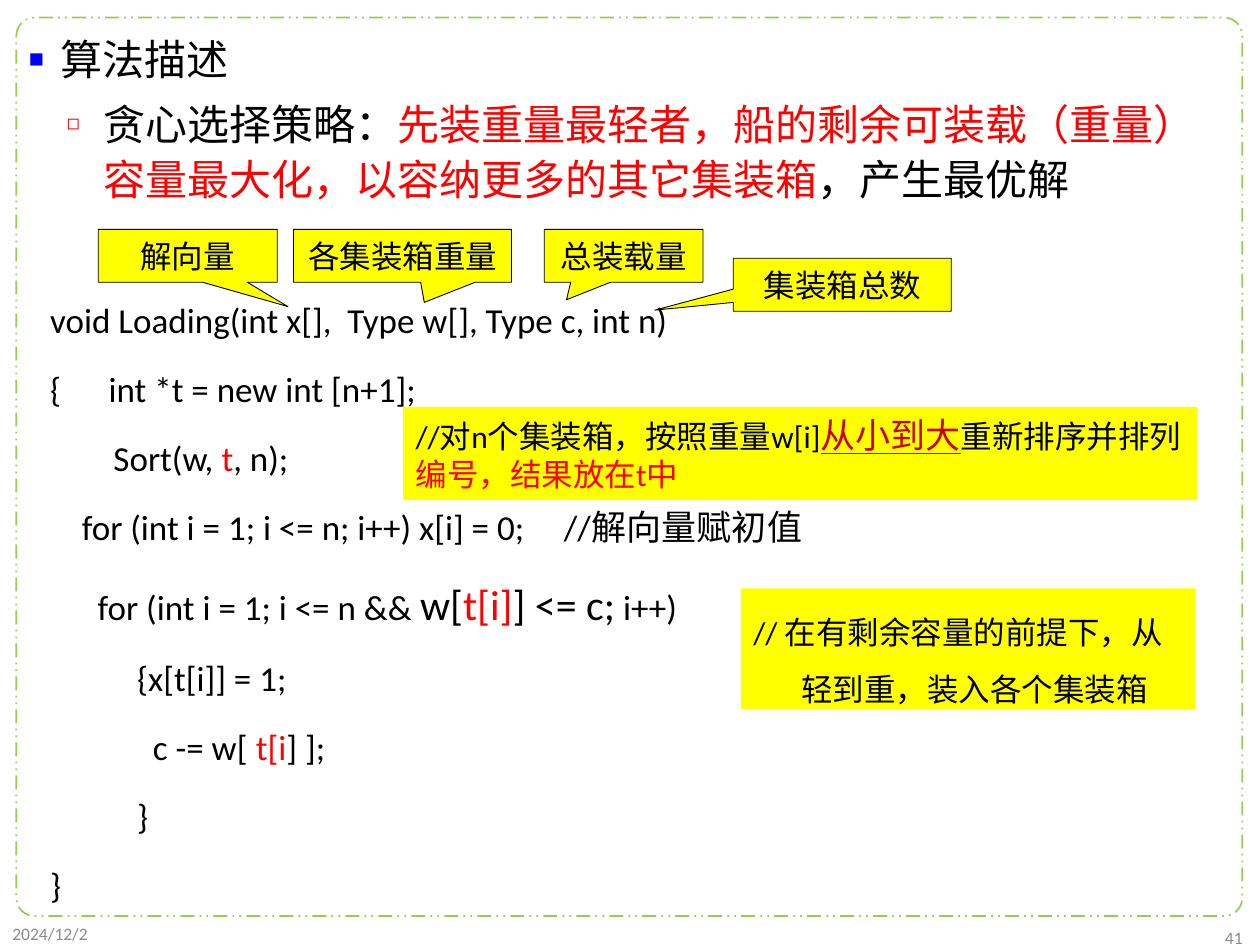
from dataclasses import dataclass
from typing import NamedTuple

from lxml.etree import SubElement
from pptx import Presentation
from pptx.dml.color import RGBColor
from pptx.enum.dml import MSO_LINE
from pptx.enum.shapes import MSO_SHAPE as SHAPE
from pptx.enum.text import MSO_ANCHOR as ANCHOR, MSO_AUTO_SIZE as AUTO, PP_ALIGN as ALIGN
from pptx.oxml.ns import qn
from pptx.util import Inches, Pt

COLORS = {"black": "000000", "red": "FF0000", "dark_red": "CC0000", "blue": "0000FF",
          "yellow": "FFFF00", "green": "92D050", "gray": "8C8C8C"}


class Run(NamedTuple):
    text: str
    color: str = "black"
    size: int = 20
    underline: bool = False


@dataclass
class Callout:
    text: str
    box: tuple
    tip: tuple


@dataclass
class Note:
    box: tuple
    runs: list
    spacing: float = 1.0
    hanging: float = 0


@dataclass
class Point:
    runs: list
    bullet: str
    bullet_color: str
    bullet_pct: int
    left: float
    hanging: float
    before: int


def rgb(name: str) -> RGBColor:
    return RGBColor.from_string(COLORS[name])


def add_runs(p, runs: list, font: str = "Calibri") -> None:
    for item in runs:
        r = p.add_run()
        r.text = item.text
        r.font.color.rgb = rgb(item.color)
        values = {"name": font, "size": Pt(item.size), "underline": item.underline}
        for name, value in values.items():
            setattr(r.font, name, value)


def indent(p, left: float, hanging: float) -> None:
    pPr = p._p.get_or_add_pPr()
    pPr.set("marL", str(Inches(left)))
    pPr.set("indent", str(-Inches(hanging)))


def add_bullet(p, point: Point) -> None:
    pPr = p._p.get_or_add_pPr()
    color = SubElement(pPr, qn("a:buClr"))
    SubElement(color, qn("a:srgbClr")).set("val", COLORS[point.bullet_color])
    SubElement(pPr, qn("a:buSzPct")).set("val", str(point.bullet_pct * 1000))
    SubElement(pPr, qn("a:buChar")).set("char", point.bullet)


def add_box(s, kind, box: tuple, fill: str = "", line: str = "", width: float = 1):
    sp = s.shapes.add_shape(kind, *map(Inches, box))
    sp.shadow.inherit = False
    if fill:
        sp.fill.solid()
        sp.fill.fore_color.rgb = rgb(fill)
    else:
        sp.fill.background()
    if line:
        sp.line.color.rgb = rgb(line)
        sp.line.width = Pt(width)
    else:
        sp.line.fill.background()
    return sp


def add_text(s, box: tuple):
    tf = s.shapes.add_textbox(*map(Inches, box)).text_frame
    tf.word_wrap = True
    return tf


def add_footer(s, text: str, box: tuple, align) -> None:
    tf = add_text(s, box)
    tf.vertical_anchor = ANCHOR.MIDDLE
    p = tf.paragraphs[0]
    p.alignment = align
    add_runs(p, [Run(text, "gray", 10)])


def add_callout(s, callout: Callout) -> None:
    sp = add_box(s, SHAPE.RECTANGULAR_CALLOUT, callout.box, "yellow", "black", 0.5)
    for i, value in enumerate(callout.tip):
        sp.adjustments[i] = value
    sp.text_frame.vertical_anchor = ANCHOR.MIDDLE
    p = sp.text_frame.paragraphs[0]
    p.alignment = ALIGN.CENTER
    add_runs(p, [Run(callout.text, size=18)])


def add_note(s, note: Note) -> None:
    tf = add_box(s, SHAPE.RECTANGLE, note.box, "yellow").text_frame
    tf.word_wrap = True
    tf.auto_size = AUTO.SHAPE_TO_FIT_TEXT
    tf.vertical_anchor = ANCHOR.TOP
    p = tf.paragraphs[0]
    p.alignment = ALIGN.LEFT
    p.line_spacing = note.spacing
    indent(p, note.hanging, note.hanging)
    add_runs(p, note.runs)


POINTS = [
    Point([Run("算法描述", size=24)], "■", "blue", 60, 0.25, 0.25, 0),
    Point([Run("贪心选择策略：", size=24),
           Run("先装重量最轻者，船的剩余可装载（重量）容量最大化，以容纳更多的其它集装箱", "red", 24),
           Run("，产生最优解", size=24)], "◻", "red", 50, 0.59, 0.29, 5),
]
CODE = [
    [Run("void Loading(int x[],  Type w[], Type c, int n)")],
    [Run("{      int *t = new int [n+1];")],
    [Run("        Sort(w, "), Run("t", "red"), Run(", n);")],
    [Run("    for (int i = 1; i <= n; i++) x[i] = 0;     //解向量赋初值")],
    [Run("      for (int i = 1; i <= n && "), Run("w[", size=24), Run("t[i]", "red", 24),
     Run("] <= c;", size=24), Run(" i++)")],
    [Run("           {x[t[i]] = 1;")],
    [Run("             c -= w[ "), Run("t[i", "red"), Run("] ];")],
    [Run("           }")],
    [Run("}")],
]
CALLOUTS = [
    Callout("集装箱总数", (5.82, 2.05, 1.73, 0.42), (-0.86, 0.48)),
    Callout("各集装箱重量", (2.33, 1.82, 1.73, 0.42), (0.1, 0.88)),
    Callout("解向量", (0.78, 1.82, 1.42, 0.42), (0.56, 0.96)),
    Callout("总装载量", (4.32, 1.82, 1.26, 0.42), (-0.36, 0.83)),
]
NOTES = [
    Note((3.2, 3.23, 6.3, 0.74),
         [Run("//对n个集装箱，按照重量w[i]", size=18), Run("从小到大", "dark_red", 20, True),
          Run("重新排序并排列", size=18), Run("编号，结果放在t中", "red", 18)]),
    Note((5.88, 4.67, 3.61, 0.96),
         [Run("// 在有剩余容量的前提下，从轻到重，装入各个集装箱", size=18)], 1.5, 0.38),
]


def main() -> None:
    prs = Presentation()
    prs.slide_width, prs.slide_height = Inches(10), Inches(7.5)
    s = prs.slides.add_slide(prs.slide_layouts[1])
    title = s.shapes.title._element
    title.getparent().remove(title)

    # Frame and footer
    frame = add_box(s, SHAPE.ROUNDED_RECTANGLE, (0.13, 0.14, 9.73, 7.13), line="green")
    frame.adjustments[0] = 0.02
    frame.line.dash_style = MSO_LINE.DASH_DOT_DOT
    add_footer(s, "2024/12/2", (0, 7.26, 2.25, 0.29), ALIGN.LEFT)
    add_footer(s, "41", (7.71, 7.31, 2.25, 0.26), ALIGN.RIGHT)

    # Strategy bullets
    body = s.placeholders[1]
    body.left, body.top, body.width, body.height = map(Inches, (0.13, 0.18, 9.73, 7.08))
    tf = body.text_frame
    tf.auto_size = AUTO.NONE
    for level, point in enumerate(POINTS):
        p = tf.add_paragraph() if level else tf.paragraphs[0]
        p.level = level
        indent(p, point.left, point.hanging)
        add_bullet(p, point)
        p.line_spacing, p.space_before = 1.1, Pt(point.before)
        add_runs(p, point.runs, "Times New Roman")

    # Code listing
    tf = add_text(s, (0.3, 2.15, 9.8, 6.06))
    for i, runs in enumerate(CODE):
        p = tf.add_paragraph() if i else tf.paragraphs[0]
        indent(p, 0.38, 0.38)
        p.line_spacing, p.space_before = 1.5, Pt(3.5 if i else 0)
        add_runs(p, runs)

    # Callouts and notes on the code
    for callout in CALLOUTS:
        add_callout(s, callout)
    for note in NOTES:
        add_note(s, note)
    prs.save("out.pptx")


if __name__ == "__main__":
    main()
